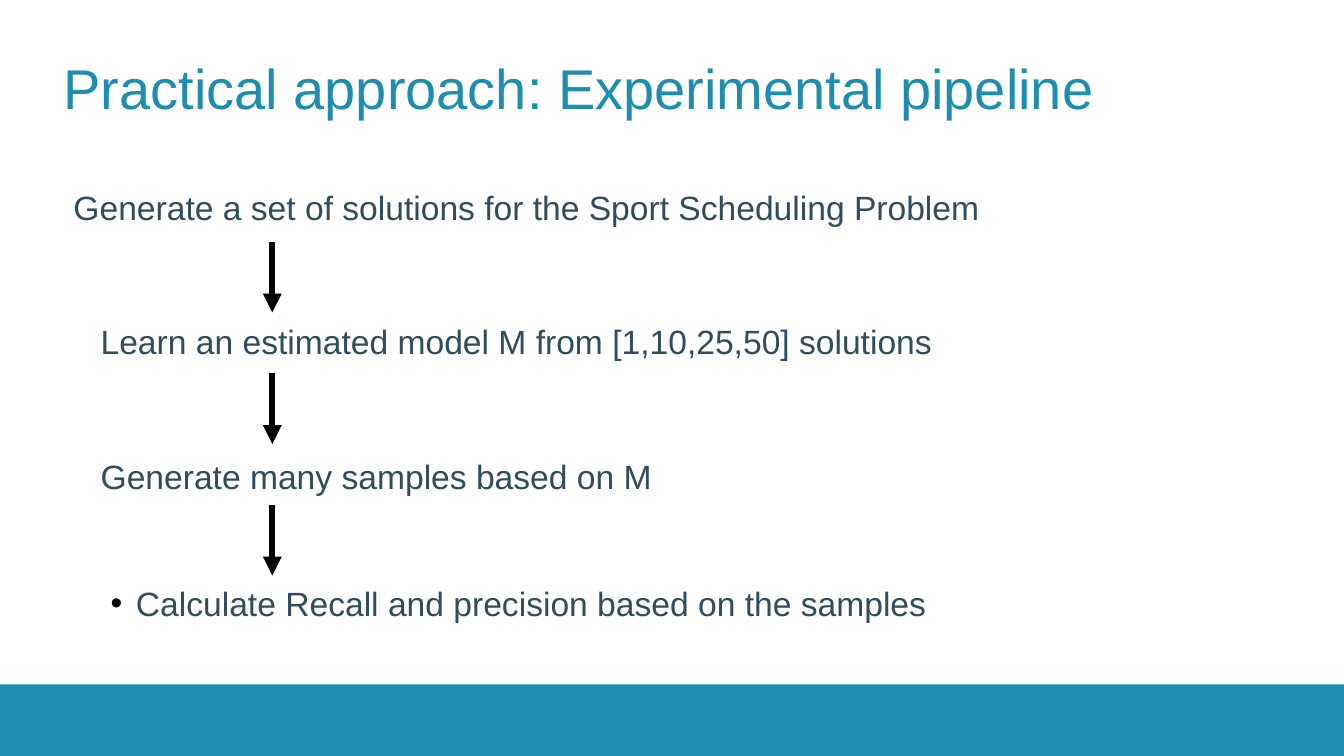
from lxml.etree import SubElement
from pptx import Presentation
from pptx.dml.color import RGBColor
from pptx.enum.shapes import MSO_CONNECTOR, MSO_SHAPE
from pptx.enum.text import MSO_ANCHOR
from pptx.oxml.ns import qn
from pptx.util import Inches, Pt

# Content; all lengths are percent of the slide's width or height
TITLE = "Practical approach: Experimental pipeline"
TITLE_BOX = (4.73, 3.07, 90.55, 16.8)
STEPS = [  # text, (left, top, width, height), bulleted
    ("Generate a set of solutions for the Sport Scheduling Problem",
     (4.73, 24.13, 90.55, 65.07), False),
    ("Learn an estimated model M from [1,10,25,50] solutions",
     (6.75, 41.73, 64.52, 11.2), False),
    ("Generate many samples based on M",
     (6.75, 59.6, 70.52, 11.2), False),
    ("Calculate Recall and precision based on the samples",
     (7.5, 76.4, 71.34, 6.27), True),
]
FOOTER_BOX = (0, 90.53, 100, 9.47)
ARROW_X, ARROW_TOP, ARROW_PITCH, ARROW_LENGTH = 20.26, 32, 17.4, 9.33
TEAL, SLATE, BLACK = "1D8DB0", "2F4D5D", "000000"

presentation = Presentation()
presentation.slide_width = Inches(13.33)
presentation.slide_height = Inches(7.5)
slide = presentation.slides.add_slide(presentation.slide_layouts[6])


def color(value):
    return RGBColor.from_string(value)


def across(share):
    return int(presentation.slide_width * share / 100)


def down(share):
    return int(presentation.slide_height * share / 100)


def place(box):
    left, top, width, height = box
    return across(left), down(top), across(width), down(height)


def add_bullet(paragraph):
    properties = paragraph._p.get_or_add_pPr()
    properties.set("marL", str(Inches(0.25)))
    properties.set("indent", str(-Inches(0.25)))
    bullet_color = SubElement(properties, qn("a:buClr"))
    SubElement(bullet_color, qn("a:srgbClr"), val=BLACK)
    SubElement(properties, qn("a:buFont"), typeface="Arial")
    SubElement(properties, qn("a:buChar"), char="•")


def add_text(text, box, size=24, fill=SLATE, bulleted=False,
             anchor=MSO_ANCHOR.TOP, insets=(0.1, 0.05)):
    frame = slide.shapes.add_textbox(*place(box)).text_frame
    frame.word_wrap = True
    frame.vertical_anchor = anchor
    frame.margin_left = frame.margin_right = Inches(insets[0])
    frame.margin_top = frame.margin_bottom = Inches(insets[1])
    paragraph = frame.paragraphs[0]
    if bulleted:
        add_bullet(paragraph)
    run = paragraph.add_run()
    run.text = text
    run.font.name = "Arial"
    run.font.size = Pt(size)
    run.font.color.rgb = color(fill)


def add_down_arrow(top):
    arrow = slide.shapes.add_connector(
        MSO_CONNECTOR.STRAIGHT, across(ARROW_X), down(top),
        across(ARROW_X), down(top + ARROW_LENGTH))
    arrow.line.color.rgb = color(BLACK)
    arrow.line.width = Pt(4.5)
    SubElement(arrow.line._get_or_add_ln(), qn("a:tailEnd"), type="triangle")
    SubElement(arrow._element.spPr, qn("a:effectLst"))


# Footer band
footer = slide.shapes.add_shape(MSO_SHAPE.RECTANGLE, *place(FOOTER_BOX))
footer.shadow.inherit = False
footer.fill.solid()
footer.fill.fore_color.rgb = color(TEAL)
footer.line.fill.background()

# Title
add_text(TITLE, TITLE_BOX, size=40, fill=TEAL,
         anchor=MSO_ANCHOR.MIDDLE, insets=(0, 0))

# Pipeline steps, with an arrow between neighbours
for text, box, bulleted in STEPS:
    add_text(text, box, bulleted=bulleted)
for index in range(len(STEPS) - 1):
    add_down_arrow(ARROW_TOP + index * ARROW_PITCH)

presentation.save("out.pptx")
